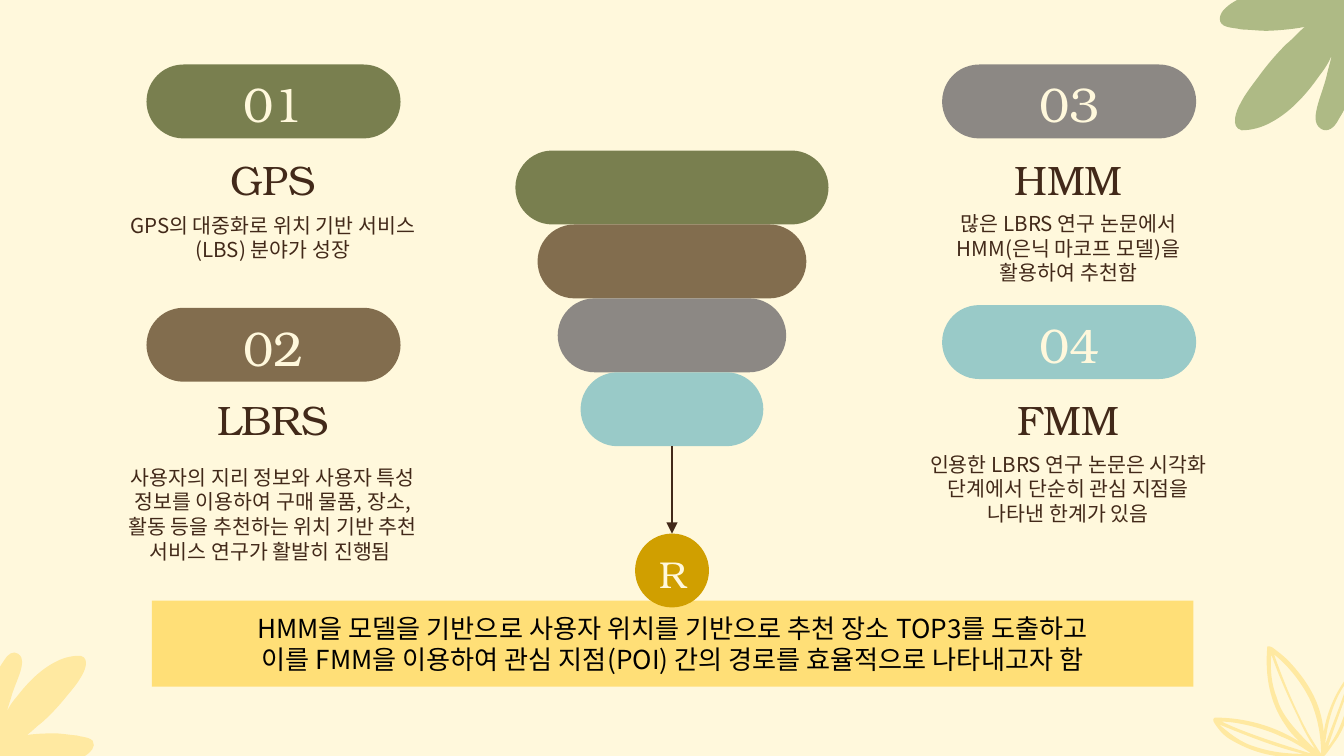
from dataclasses import dataclass

from lxml.etree import SubElement
from pptx import Presentation
from pptx.dml.color import RGBColor
from pptx.enum.shapes import MSO_CONNECTOR, MSO_SHAPE
from pptx.enum.text import MSO_ANCHOR, MSO_AUTO_SIZE, PP_ALIGN
from pptx.oxml.ns import qn
from pptx.util import Inches, Pt

# Grid: 10 square columns across a 16:9 page, one cell is one inch
COLUMNS, ROWS = 10, 10 * 9 / 16
CENTRE = COLUMNS / 2
SERIF, SANS = "TeX Gyre Bonum", "Noto Sans CJK KR"
CREAM, BROWN, BLACK = "FFF8DC", "422919", "000000"
SAGE, SAND, BANNER, GOLD = "AEBA85", "FFE9A1", "FFDF77", "D09F00"
PILL_HEIGHT = 0.55
FUNNEL_BOTTOM, RESULT_TOP = 3.32, 3.97


@dataclass
class Topic:
    number: str
    heading: str
    detail: str
    colour: str
    column: float
    row: float
    heading_row: float
    detail_row: float
    detail_rows: float
    funnel_columns: float


TOPICS = [
    Topic("01", "GPS", "GPS의 대중화로 위치 기반 서비스(LBS) 분야가 성장",
          "797F4F", 0.83, 0.48, 1.13, 1.56, 0.41, 2.33),
    Topic("02", "LBRS", "사용자의 지리 정보와 사용자 특성 정보를 이용하여 구매 물품, 장소, "
          "활동 등을 추천하는 위치 기반 추천 서비스 연구가 활발히 진행됨 ",
          "826D4E", 0.83, 2.29, 2.91, 3.35, 0.95, 2),
    Topic("03", "HMM", "많은 LBRS 연구 논문에서 HMM(은닉 마코프 모델)을 활용하여 추천함",
          "8C8884", 6.75, 0.48, 1.13, 1.56, 0.57, 1.7),
    Topic("04", "FMM", "인용한 LBRS 연구 논문은 시각화 단계에서 단순히 관심 지점을 나타낸 한계가 있음",
          "99CAC8", 6.75, 2.27, 2.91, 3.35, 0.57, 1.36),
]
CONCLUSION = ("HMM을 모델을 기반으로 사용자 위치를 기반으로 추천 장소 TOP3를 도출하고\n"
              "이를 FMM을 이용하여 관심 지점(POI) 간의 경로를 효율적으로 나타내고자 함")

# Outlines: a start point, then three points for each cubic curve
LEAVES = [
    (9.58, -.09), (9.49, -.09), (9.4, -.08), (9.31, -.05), (9.25, -.02), (9.17, .01), (9.12, .06),
    (9.07, .1), (9.05, .18), (9.13, .2), (9.16, .21), (9.2, .21), (9.24, .22),
    (9.28, .22), (9.37, .23), (9.42, .23), (9.47, .23), (9.62, .22), (9.71, .2),
    (9.66, .24), (9.62, .29), (9.57, .33), (9.5, .4), (9.44, .47), (9.38, .55),
    (9.33, .62), (9.27, .69), (9.23, .77), (9.2, .82), (9.15, .95), (9.24, .97),
    (9.31, .97), (9.39, .95), (9.46, .91), (9.61, .83), (9.73, .69), (9.82, .56),
    (9.86, .51), (9.89, .46), (9.91, .41), (9.9, .46), (9.88, .52), (9.87, .57),
    (9.85, .65), (9.82, .72), (9.8, .8), (9.79, .85), (9.77, .92), (9.83, .96),
    (9.88, .99), (9.93, .95), (9.96, .89), (9.99, .84), (10.02, .79), (10.04, .73),
    (10.09, .62), (10.11, .51), (10.12, .39), (10.12, .28), (10.11, .18), (10.09, .08),
    (10.09, .05), (10.07, 0), (10.03, -.03), (9.9, -.06), (9.73, -.09), (9.58, -.09),
]
FLOWER = [
    # Silhouette
    [(9.43, 4.81), (9.45, 4.81), (9.46, 4.81), (9.47, 4.82), (9.51, 4.85), (9.55, 4.88), (9.59, 4.92),
     (9.72, 5.06), (9.83, 5.22), (9.85, 5.45), (9.87, 5.3), (9.95, 5.12), (10.05, 5.01),
     (10.05, 5), (10.06, 5), (10.07, 5.01), (10.07, 5.1), (10.07, 5.18), (10.05, 5.27),
     (10.02, 5.35), (9.99, 5.44), (9.94, 5.51), (9.91, 5.55), (9.88, 5.6), (9.85, 5.63),
     (9.83, 5.65), (9.82, 5.65), (9.8, 5.64), (9.7, 5.64), (9.58, 5.64), (9.46, 5.62),
     (9.35, 5.6), (9.25, 5.56), (9.15, 5.5), (9.1, 5.47), (9.06, 5.42), (9.03, 5.37),
     (9.02, 5.36), (9.03, 5.34), (9.04, 5.34), (9.26, 5.34), (9.48, 5.4), (9.67, 5.52),
     (9.63, 5.48), (9.59, 5.44), (9.56, 5.39), (9.45, 5.23), (9.41, 5.03), (9.43, 4.81)],
    # Hollow halves of the petals
    [(9.07, 5.39), (9.14, 5.45), (9.2, 5.5), (9.29, 5.54), (9.4, 5.58), (9.51, 5.61), (9.7, 5.61),
     (9.53, 5.57), (9.36, 5.51), (9.07, 5.39)],
    [(9.46, 4.87), (9.45, 4.98), (9.46, 5.09), (9.5, 5.19), (9.53, 5.3), (9.6, 5.4), (9.79, 5.58),
     (9.73, 5.49), (9.69, 5.41), (9.65, 5.32), (9.6, 5.22), (9.51, 5.02), (9.46, 4.87)],
    [(10.04, 5.05), (9.94, 5.17), (9.88, 5.34), (9.86, 5.54), (9.92, 5.38), (9.98, 5.23), (10.04, 5.05)],
    [(9.09, 5.37), (9.26, 5.45), (9.44, 5.51), (9.76, 5.61), (9.69, 5.56), (9.61, 5.51), (9.53, 5.48),
     (9.43, 5.43), (9.22, 5.37), (9.09, 5.37)],
    [(10.05, 5.08), (10, 5.22), (9.94, 5.38), (9.88, 5.56), (9.97, 5.45), (10.04, 5.25), (10.05, 5.08)],
    [(9.48, 4.87), (9.55, 5.07), (9.63, 5.26), (9.73, 5.45), (9.76, 5.5), (9.79, 5.55), (9.83, 5.61),
     (9.83, 5.49), (9.81, 5.37), (9.77, 5.26), (9.73, 5.15), (9.62, 4.98), (9.48, 4.87)],
]


def rgb(colour: str) -> RGBColor:
    return RGBColor.from_string(colour)


def place(*cells: float) -> tuple:
    return tuple(Inches(cell) for cell in cells)


def write(shape, text: str, *, size: float, colour: str, font: str = SERIF,
          inset_top: float = 0.1, inset_bottom: float = 0.1, wrap: bool = True) -> None:
    frame = shape.text_frame
    frame.text = text
    frame.word_wrap = wrap
    frame.auto_size = MSO_AUTO_SIZE.NONE
    frame.vertical_anchor = MSO_ANCHOR.MIDDLE
    frame.margin_left = frame.margin_right = Inches(0.1)
    frame.margin_top, frame.margin_bottom = Inches(inset_top), Inches(inset_bottom)
    for paragraph in frame.paragraphs:
        properties = paragraph._p.get_or_add_pPr()
        properties.set("marL", "0")
        properties.set("indent", "0")
        SubElement(properties, qn("a:buNone"))
        paragraph.alignment = PP_ALIGN.CENTER
        paragraph.space_before = Pt(0)
        for run in paragraph.runs:
            run.font.size, run.font.bold, run.font.name = Pt(size), False, font
            run.font.color.rgb = rgb(colour)
            run_properties = run._r.get_or_add_rPr()
            run_properties.set("kern", "0")
            SubElement(run_properties, qn("a:ea"), typeface=font)


def paint(shape, colour: str):
    shape.shadow.inherit = False
    shape.fill.solid()
    shape.fill.fore_color.rgb = rgb(colour)
    shape.line.fill.background()
    return shape


def add_block(slide, kind: MSO_SHAPE, box: tuple, colour: str):
    block = paint(slide.shapes.add_shape(kind, *place(*box)), colour)
    if kind == MSO_SHAPE.ROUNDED_RECTANGLE:
        block.adjustments[0] = 0.5
    return block


def add_plant(slide, outlines: list, colour: str) -> None:
    """Draw closed outlines, then bend each straight segment into its curve."""
    contours = [[place(*point) for point in outline] for outline in outlines]
    builder = slide.shapes.build_freeform(*contours[0][0])
    for number, contour in enumerate(contours):
        if number:
            builder.move_to(*contour[0])
        builder.add_line_segments(contour[3::3], close=True)
    plant = paint(builder.convert_to_shape(), colour)
    curves = [contour[first:first + 3] for contour in contours
              for first in range(1, len(contour), 3)]
    for segment, curve in zip(list(plant._element.iter(qn("a:lnTo"))), curves):
        segment.tag = qn("a:cubicBezTo")
        segment.remove(segment[0])
        for x, y in curve:
            SubElement(segment, qn("a:pt"), x=str(x - plant.left), y=str(y - plant.top))


def turn(points: list, pivot: complex, target: complex, factor: complex) -> list:
    """Rotate and scale points around a pivot that moves to the target."""
    turned = [target + factor * (complex(*point) - pivot) for point in points]
    return [(point.real, point.imag) for point in turned]


def add_topic(slide, topic: Topic, heading) -> None:
    heading.left, heading.top, heading.width, heading.height = place(
        topic.column, topic.heading_row, 2.4, 0.41)
    write(heading, topic.heading, size=22, colour=BROWN)
    detail = slide.shapes.add_textbox(
        *place(topic.column, topic.detail_row, 2.4, topic.detail_rows))
    write(detail, topic.detail, size=11, colour=BROWN, font=SANS)
    pill = add_block(slide, MSO_SHAPE.ROUNDED_RECTANGLE,
                     (topic.column + 0.26, topic.row, 1.89, PILL_HEIGHT), topic.colour)
    write(pill, topic.number, size=26, colour=CREAM, inset_top=0.13)


def main() -> None:
    deck = Presentation()
    deck.slide_width, deck.slide_height = place(COLUMNS, ROWS)
    slide = deck.slides.add_slide(deck.slide_layouts.get_by_name("Comparison"))
    slide.background.fill.solid()
    slide.background.fill.fore_color.rgb = rgb(CREAM)
    title = slide.shapes.title
    title._element.getparent().remove(title._element)

    # Corner plants
    add_plant(slide, FLOWER, SAND)
    add_plant(slide, [LEAVES], SAGE)
    add_plant(slide, [turn(LEAVES, 9.71 + 0.2j, 0.2 + 5.47j, -0.79 - 0.04j)], SAND)

    # Four topics
    for topic, heading in zip(TOPICS, list(slide.placeholders)):
        add_topic(slide, topic, heading)

    # Funnel, widest bar on top
    for level, topic in enumerate(TOPICS):
        top = FUNNEL_BOTTOM - (len(TOPICS) - level) * PILL_HEIGHT
        bar = add_block(slide, MSO_SHAPE.ROUNDED_RECTANGLE,
                        (CENTRE - topic.funnel_columns / 2, top,
                         topic.funnel_columns, PILL_HEIGHT), topic.colour)

    # Conclusion
    banner = add_block(slide, MSO_SHAPE.RECTANGLE, (1.13, 4.47, 7.75, 0.64), BANNER)
    write(banner, CONCLUSION, size=14, colour=BLACK, font=SANS,
          inset_top=0.05, inset_bottom=0.05, wrap=False)
    result = add_block(slide, MSO_SHAPE.OVAL,
                       (CENTRE - PILL_HEIGHT / 2, RESULT_TOP, PILL_HEIGHT, PILL_HEIGHT), GOLD)
    write(result, "R", size=20, colour=CREAM, inset_top=0.09, inset_bottom=0.05)

    # Arrow from the funnel to the result
    arrow = slide.shapes.add_connector(
        MSO_CONNECTOR.STRAIGHT, *place(CENTRE, FUNNEL_BOTTOM, CENTRE, RESULT_TOP))
    arrow.begin_connect(bar, 2)
    arrow.end_connect(result, 0)
    arrow.line.color.rgb = rgb(BROWN)
    arrow.line.width = Pt(1.5)
    SubElement(arrow.line._get_or_add_ln(), qn("a:tailEnd"), type="triangle")
    SubElement(arrow._element.spPr, qn("a:effectLst"))

    deck.save("out.pptx")


if __name__ == "__main__":
    main()
